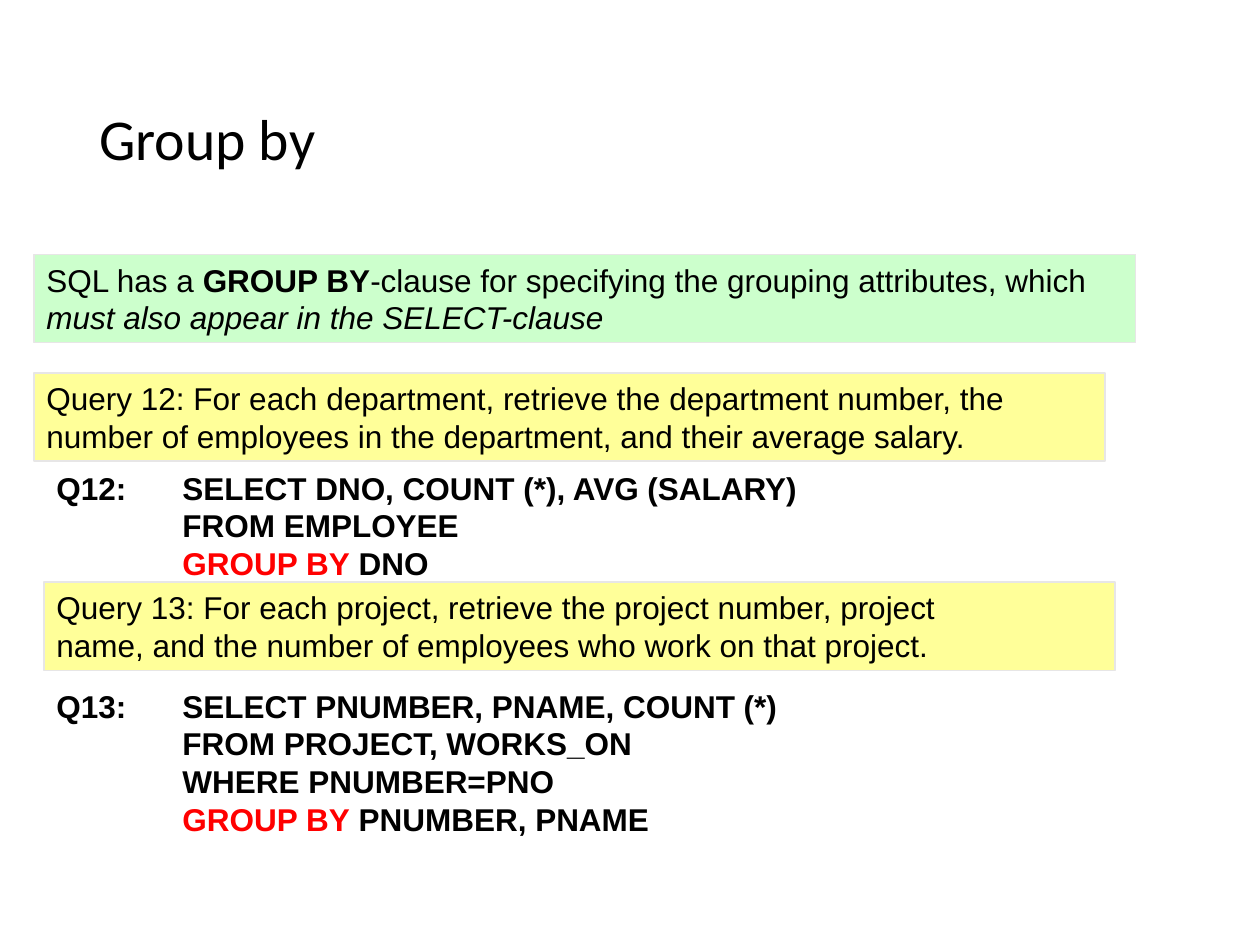
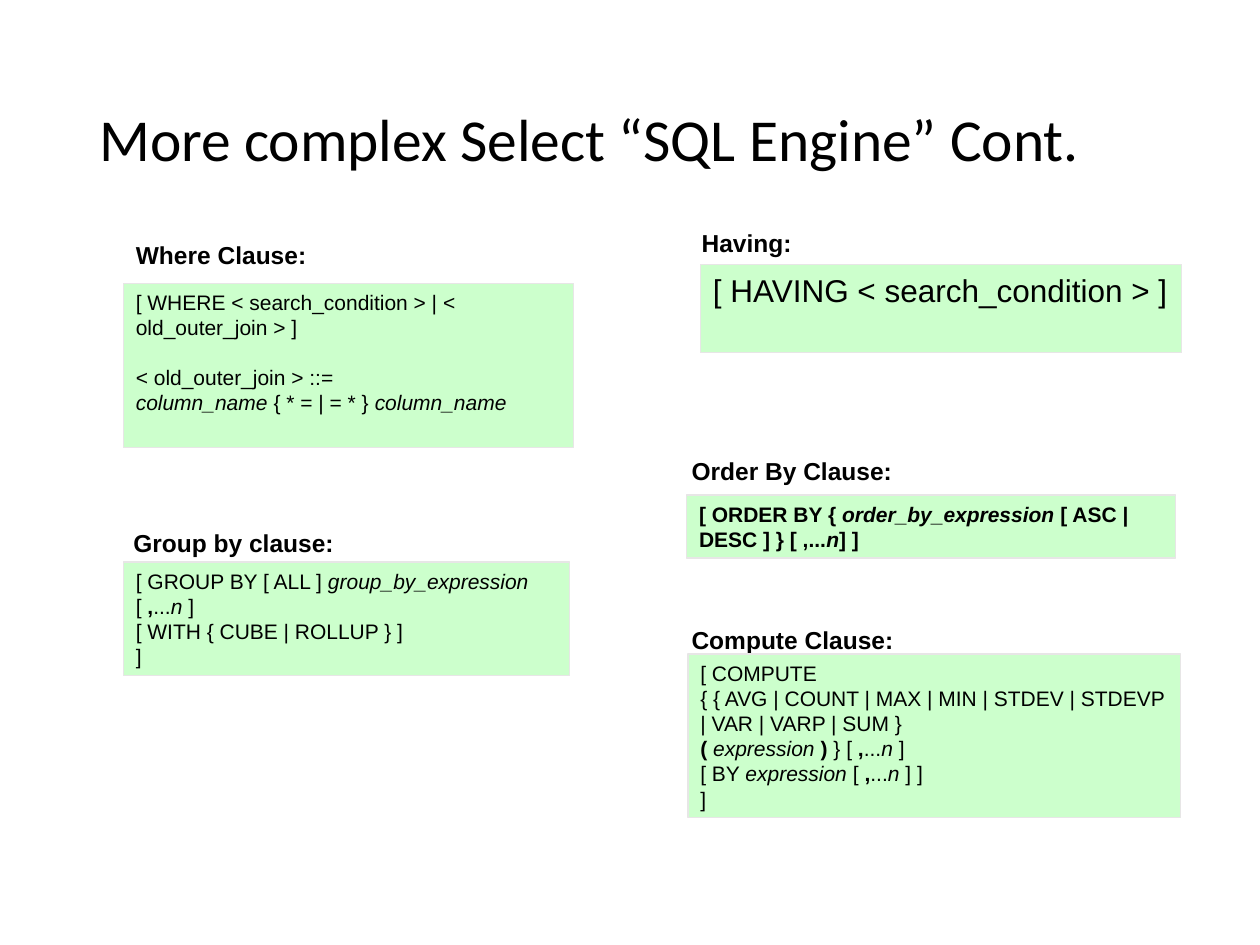
from lxml import etree
from pptx import Presentation
from pptx.dml.color import RGBColor
from pptx.enum.shapes import MSO_SHAPE
from pptx.enum.text import MSO_ANCHOR, PP_ALIGN
from pptx.oxml.ns import qn
from pptx.util import Inches, Pt

RECT = MSO_SHAPE.RECTANGLE
TOP, MIDDLE = MSO_ANCHOR.TOP, MSO_ANCHOR.MIDDLE
LEFT = PP_ALIGN.LEFT
BLACK, RED, WHITE = "000000", "FF0000", "FFFFFF"
GREEN, YELLOW, GREY = "CCFFCC", "FFFF99", "E7E6E6"

deck = Presentation()
deck.slide_width, deck.slide_height = Inches(10), Inches(7.5)
COL = deck.slide_width / 100
ROW = deck.slide_height / 75


def hue(code):
    return RGBColor.from_string(code)


def put(slide, area, size, lines, fill=None, wrap=True, font="Arial"):
    x, y, w, h = area
    place = [round(x * COL), round(y * ROW), round(w * COL), round(h * ROW)]
    if fill:
        box = slide.shapes.add_shape(RECT, *place)
        box.shadow.inherit = False
        box.fill.solid()
        box.fill.fore_color.rgb = hue(fill)
        box.line.color.rgb = hue(GREY)
        box.line.width = Pt(0.75)
    else:
        box = slide.shapes.add_textbox(*place)
    frame = box.text_frame
    frame.word_wrap = wrap
    frame.vertical_anchor = TOP
    for n, line in enumerate(lines):
        para = frame.add_paragraph() if n else frame.paragraphs[0]
        para.alignment = LEFT
        for text, style in line:
            run = para.add_run()
            run.text = text
            run.font.name, run.font.size = font, Pt(size)
            run.font.bold, run.font.italic = "b" in style, "i" in style
            run.font.color.rgb = hue(RED if "r" in style else BLACK)
    return frame


pages = []
for title, size in [("Group by", 33), ("More complex Select “SQL Engine” Cont.", 34)]:
    page = deck.slides.add_slide(deck.slide_layouts[6])
    page.background.fill.solid()
    page.background.fill.fore_color.rgb = hue(WHITE)
    head = put(page, (6.9, 4, 86.3, 14.5), size, [[(title, "")]], font="Calibri")
    head.vertical_anchor = MIDDLE
    head.paragraphs[0].line_spacing = 0.9
    pages.append(page)
group, clause = pages

tasks = [
    (2.7, 29.6, [
        "Query 12: For each department, retrieve the department number, the "
        "number of employees in the department, and their average salary."]),
    (3.5, 46.2, [
        "Query 13: For each project, retrieve the project number, project",
        "name, and the number of employees who work on that project."]),
]
codes = [
    (36.7, 10, ["Q12: \tSELECT DNO, COUNT (*), AVG (SALARY)",
                "\tFROM EMPLOYEE"], " DNO"),
    (54, 16, ["Q13: \tSELECT PNUMBER, PNAME, COUNT (*)",
              "\tFROM PROJECT, WORKS_ON",
              "\tWHERE PNUMBER=PNO"], " PNUMBER, PNAME"),
]
for (x, y, texts), (top, tall, query, keys) in zip(tasks, codes):
    put(group, (x, y, 85, 7), 18, [[(text, "")] for text in texts], YELLOW)
    lines = [[(text, "b")] for text in query]
    lines.append([("\t", "b"), ("GROUP BY", "br"), (keys, "b")])
    code = put(group, (3.5, top, 82.7, tall), 18, lines)
    for para in code.paragraphs:
        tabs = etree.SubElement(para._p.get_or_add_pPr(), qn("a:tabLst"))
        etree.SubElement(tabs, qn("a:tab"), pos=str(Inches(1)), algn="l")

put(group, (2.7, 20.2, 87.4, 7), 18, [[
    ("SQL has a ", ""), ("GROUP BY", "b"),
    ("-clause for specifying the grouping attributes, which ", ""),
    ("must also appear in the SELECT-clause", "i")]], GREEN)

labels = [
    ("Where Clause:", 9.8, 18.6),
    ("Group by clause:", 9.6, 41.4),
    ("Having:", 54.7, 17.6),
    ("Order By Clause:", 53.9, 35.7),
    ("Compute Clause:", 53.9, 49.1),
]
for text, x, y in labels:
    put(clause, (x, y, 20, 3.4), 14, [[(text, "b")]])

more = [("[ ", ""), (",", "b"), ("...", ""), ("n ", "i")]
where = put(clause, (9.8, 22.5, 35.7, 13), 12, [
    [("[ WHERE < search_condition > | < old_outer_join > ]", "")],
    [("< old_outer_join > ::=", "")],
    [("column_name ", "i"), ("{ * = | = * } ", ""), ("column_name", "i")],
], GREEN)
where.paragraphs[1].space_before = Pt(13.8)

put(clause, (9.8, 44.6, 35.4, 9), 12, [
    [("[ GROUP BY [ ALL ] ", ""), ("group_by_expression ", "i"), *more, ("]", "")],
    [("[ WITH { CUBE | ROLLUP } ]", "")],
    [("]", "")],
], GREEN)

put(clause, (55.6, 21, 38.2, 7), 18,
    [[("[ HAVING < search_condition > ]", "")]], GREEN, wrap=False)

put(clause, (54.5, 39.3, 38.8, 5), 12, [[
    ("[ ORDER BY { ", "b"), ("order_by_expression ", "bi"),
    ("[ ASC | DESC ] } [ ,...", "b"), ("n", "bi"), ("] ]", "b")]], GREEN)

put(clause, (54.6, 51.9, 39.1, 13), 12, [
    [("[ COMPUTE", "")],
    [("{ { AVG | COUNT | MAX | MIN | STDEV | STDEVP", "")],
    [("| VAR | VARP | SUM }", "")],
    [("( ", "b"), ("expression ", "i"), (") ", "b"), ("} ", ""), *more, ("]", "")],
    [("[ BY ", ""), ("expression ", "i"), *more, ("] ]", "")],
    [("]", "")],
], GREEN, wrap=False)

deck.save("out.pptx")
